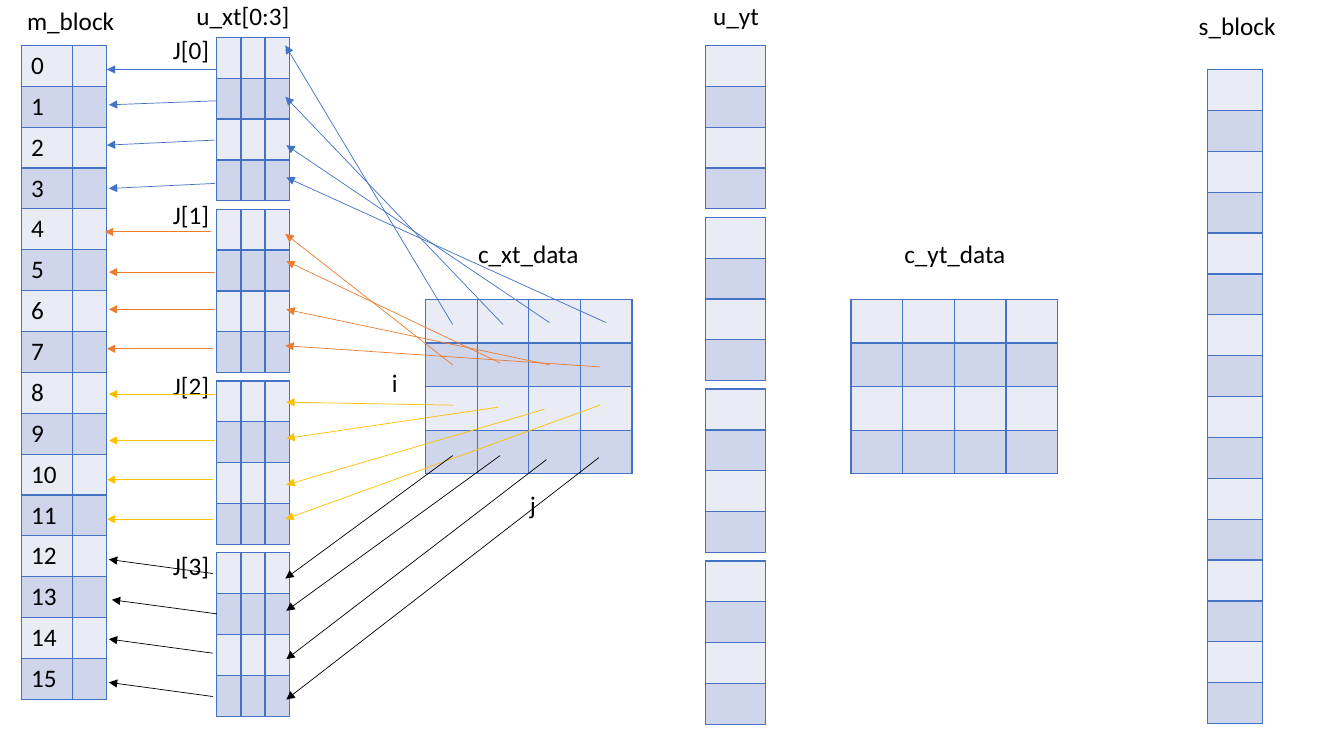
from lxml import etree
from pptx import Presentation
from pptx.dml.color import RGBColor as RGB
from pptx.enum.shapes import MSO_CONNECTOR as CONN
from pptx.enum.text import MSO_AUTO_SIZE as FIT, PP_ALIGN as ALIGN
from pptx.oxml.ns import qn
from pptx.util import Inches, Pt

COLORS = {
    "blue": "4472C4", "orange": "ED7D31", "gold": "FFC000", "black": "000000",
    "light": "E9EBF5", "dark": "CFD5EA",
}
GROUPS = ["blue", "orange", "gold", "black"]
BLOCK_STEP = 1.705
BLOCK_H = 1.62
COLUMN_H = 6.49

LABELS = [
    ("m_block", 0.17, 0, 1.19, ALIGN.LEFT),
    ("u_xt[0:3]", 1.85, -0.05, 1.19, ALIGN.LEFT),
    ("c_xt_data", 4.49, 2.32, 1.5, ALIGN.CENTER),
    ("c_yt_data", 8.72, 2.32, 1.5, ALIGN.CENTER),
    ("u_yt", 6.55, -0.05, 1.5, ALIGN.CENTER),
    ("s_block", 11.52, 0.05, 1.5, ALIGN.CENTER),
    ("i", 3.62, 3.59, 0.59, ALIGN.CENTER),
    ("j", 4.99, 4.81, 0.59, ALIGN.CENTER),
]
J_TOPS = [0.29, 1.93, 3.62, 5.41]

DATA_ARROWS = [
    (2.83, 0.45, 4.49, 3.22), (2.83, 0.96, 4.99, 3.22),
    (2.84, 1.44, 5.45, 3.2), (2.84, 1.76, 6.01, 3.2),
    (2.83, 2.32, 4.49, 3.62), (2.84, 2.59, 4.96, 3.6),
    (2.84, 3.07, 5.45, 3.62), (2.83, 3.43, 5.95, 3.64),
    (2.84, 3.99, 4.49, 4.02), (2.84, 4.35, 4.94, 4.04),
    (2.84, 4.81, 5.4, 4.06), (2.83, 5.15, 5.95, 4.02),
    (2.83, 5.74, 4.49, 4.52), (2.84, 6.06, 4.96, 4.52),
    (2.84, 6.54, 5.42, 4.56), (2.84, 6.94, 5.94, 4.54),
]
BLOCK_ARROWS = [
    (1.06, 0.69, 2.15, 0.69), (1.08, 1.04, 2.15, 1),
    (1.06, 1.44, 2.13, 1.39), (1.08, 1.87, 2.13, 1.82),
    (1.04, 2.3, 2.09, 2.3), (1.08, 2.7, 2.13, 2.7),
    (1.08, 3.07, 2.13, 3.07), (1.06, 3.46, 2.11, 3.46),
    (1.08, 3.91, 2.13, 3.91), (1.08, 4.37, 2.13, 4.37),
    (1.06, 4.76, 2.11, 4.76), (1.06, 5.15, 2.11, 5.15),
    (1.08, 5.55, 2.11, 5.69), (1.11, 5.95, 2.15, 6.09),
    (1.08, 6.34, 2.11, 6.48), (1.08, 6.77, 2.11, 6.91),
]


def rgb(name):
    return RGB.from_string(COLORS[name])


def write_text(tf, text, size=18, color="black", align=ALIGN.LEFT):
    p = tf.paragraphs[0]
    p.alignment = align
    r = p.add_run()
    r.text = text
    r.font.name = "Calibri"
    r.font.size = Pt(size)
    r.font.color.rgb = rgb(color)


def add_label(s, text, x, y, w, align):
    tf = s.shapes.add_textbox(Inches(x), Inches(y), Inches(w), Inches(0.4)).text_frame
    tf.word_wrap = True
    tf.auto_size = FIT.SHAPE_TO_FIT_TEXT
    write_text(tf, text, align=align)


def add_borders(cell):
    tc_pr = cell._tc.get_or_add_tcPr()
    for i, side in enumerate(["lnL", "lnR", "lnT", "lnB"]):
        ln = etree.Element(qn(f"a:{side}"), w=str(Pt(1)))
        fill = etree.SubElement(ln, qn("a:solidFill"))
        etree.SubElement(fill, qn("a:srgbClr"), val=COLORS["blue"])
        tc_pr.insert(i, ln)


def add_grid(s, x, y, widths, height, rows, numbered=False):
    frame = s.shapes.add_table(rows, len(widths), Inches(x), Inches(y),
                               Inches(sum(widths)), Inches(height))
    table = frame.table
    table.first_row = False
    table.horz_banding = False
    for col, width in zip(table.columns, widths):
        col.width = Inches(width)
    for i, row in enumerate(table.rows):
        row.height = Inches(height / rows)
        for cell in row.cells:
            cell.fill.solid()
            cell.fill.fore_color.rgb = rgb("dark" if i % 2 else "light")
            add_borders(cell)
        if numbered:
            write_text(row.cells[0].text_frame, str(i))


def add_arrow(s, x1, y1, x2, y2, color):
    line = s.shapes.add_connector(CONN.STRAIGHT, Inches(x1), Inches(y1),
                                  Inches(x2), Inches(y2))
    line.line.color.rgb = rgb(color)
    line.line.width = Pt(0.5)
    etree.SubElement(line.line._get_or_add_ln(), qn("a:headEnd"), type="triangle")
    etree.SubElement(line._element.spPr, qn("a:effectLst"))


def main():
    prs = Presentation()
    prs.slide_width, prs.slide_height = Inches(13.33), Inches(7.5)
    s = prs.slides.add_slide(prs.slide_layouts[6])

    add_grid(s, 0.21, 0.45, [0.51, 0.34], COLUMN_H, 16, numbered=True)
    for x in (4.22, 8.44):
        add_grid(s, x, 2.97, [2.05 / 4] * 4, 1.73, 4)
    add_grid(s, 11.98, 0.69, [0.54], COLUMN_H, 16)
    for x, y, widths in ((2.15, 0.37, [0.71 / 3] * 3), (7, 0.45, [0.59])):
        for i in range(4):
            add_grid(s, x, y + i * BLOCK_STEP, widths, BLOCK_H, 4)

    for label in LABELS:
        add_label(s, *label)
    for i, y in enumerate(J_TOPS):
        add_label(s, f"J[{i}]", 1.6, y, 0.59, ALIGN.CENTER)

    for arrows in (DATA_ARROWS, BLOCK_ARROWS):
        for i, ends in enumerate(arrows):
            add_arrow(s, *ends, GROUPS[i // 4])

    prs.save("out.pptx")


main()
